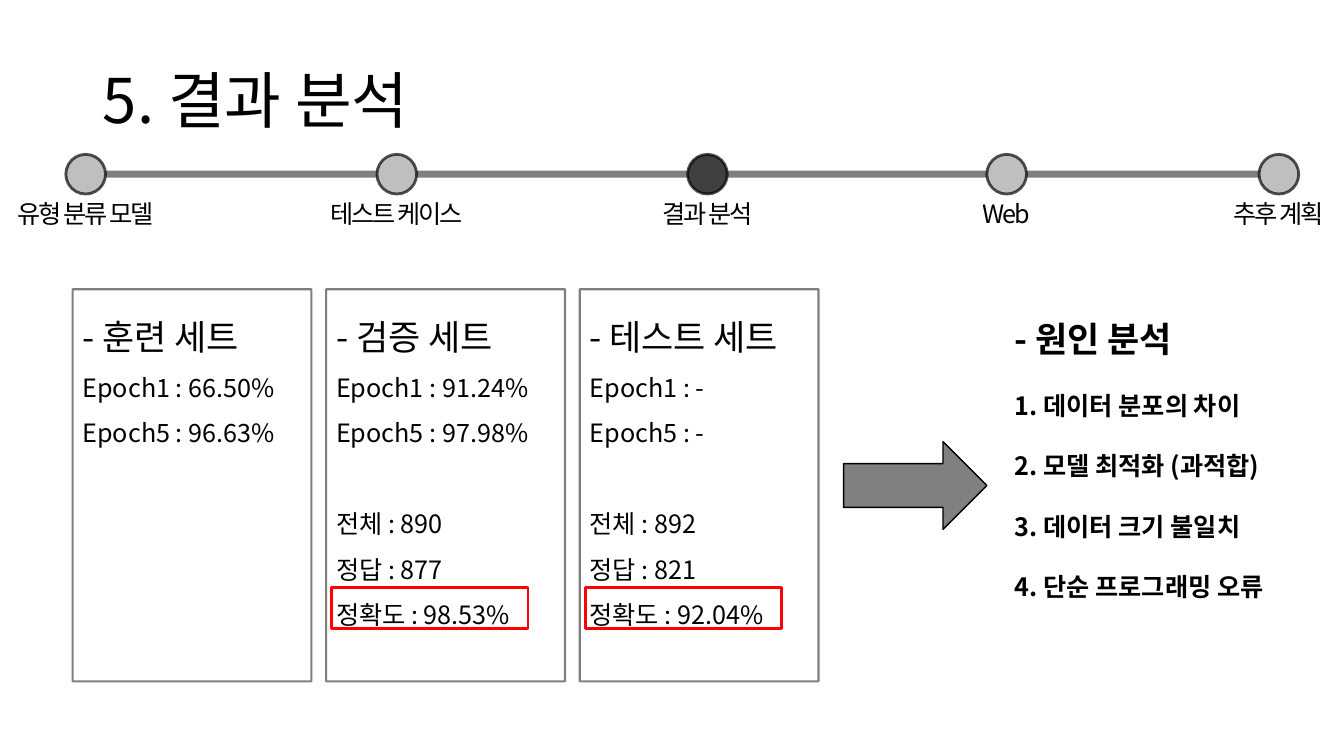
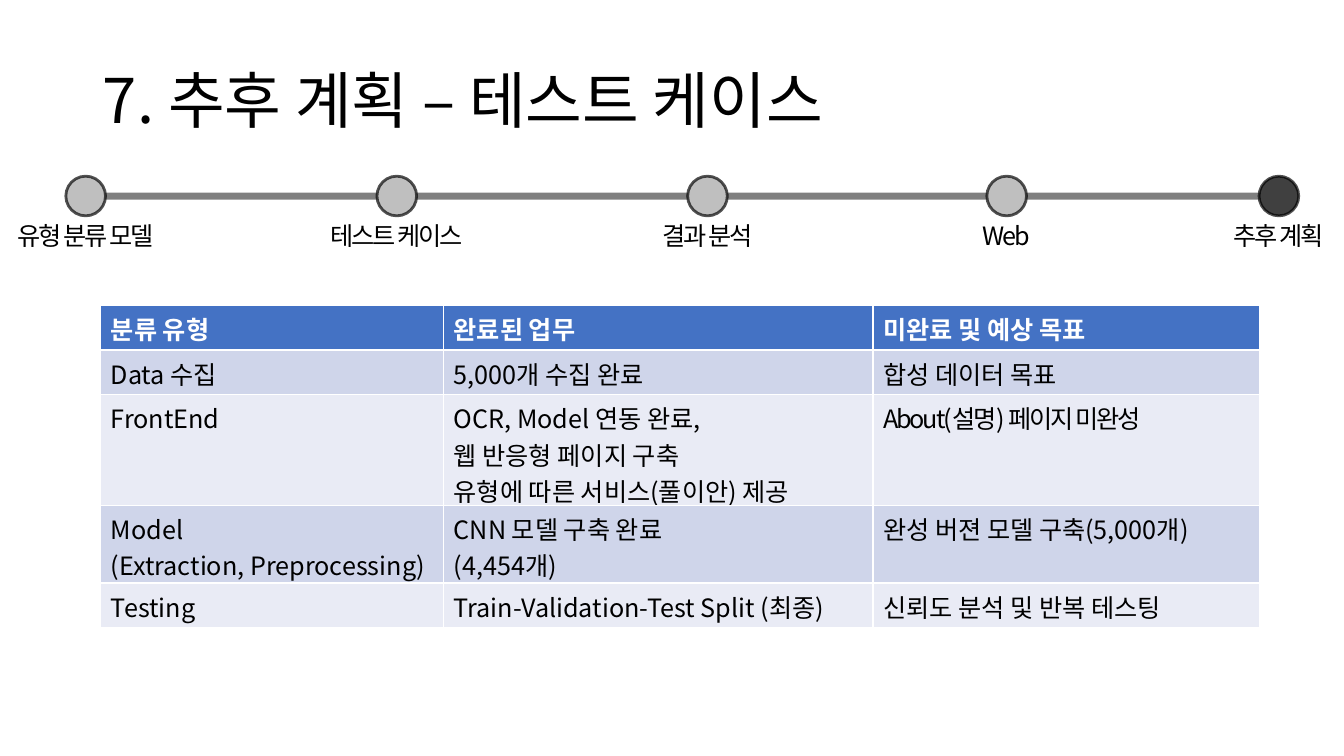
from lxml import etree
from pptx import Presentation
from pptx import util as u
from pptx.dml.color import RGBColor
from pptx.enum import shapes, text
from pptx.oxml.ns import qn

FONT = "Noto Sans CJK KR"
BLACK = RGBColor(0x00, 0x00, 0x00)
WHITE = RGBColor(0xFF, 0xFF, 0xFF)
GRAY = RGBColor(0x80, 0x80, 0x80)
DONE = RGBColor(0xBF, 0xBF, 0xBF)
CURRENT = RGBColor(0x40, 0x40, 0x40)
RED = RGBColor(0xFF, 0x00, 0x00)
HEADER = RGBColor(0x44, 0x72, 0xC4)
BANDS = (RGBColor(0xCF, 0xD5, 0xEA), RGBColor(0xE9, 0xEB, 0xF5))

TITLE = {"size": u.Pt(44), "bold": False}
HEADING = {"size": u.Pt(25), "bold": False}
BODY = {"size": u.Pt(18), "bold": False}
STRONG_HEADING = {**HEADING, "bold": True}
STRONG_BODY = {**BODY, "bold": True}
TIGHT = -150

MILESTONES = [
    ("유형 분류 모델", 2.16),
    ("테스트 케이스", 10),
    ("결과 분석", 17.83),
    ("Web", 25.37),
    ("추후 계획", 32.23),
]

RESULTS = [
    ("- 훈련 세트", ["Epoch1 : 66.50%", "Epoch5 : 96.63%"], []),
    ("- 검증 세트", ["Epoch1 : 91.24%", "Epoch5 : 97.98%"],
     ["전체 : 890", "정답 : 877", "정확도 : 98.53%"]),
    ("- 테스트 세트", ["Epoch1 : -", "Epoch5 : -"],
     ["전체 : 892", "정답 : 821", "정확도 : 92.04%"]),
]

CAUSES = [
    "- 원인 분석",
    "1. 데이터 분포의 차이",
    "2. 모델 최적화 (과적합)",
    "3. 데이터 크기 불일치",
    "4. 단순 프로그래밍 오류",
]

UNFINISHED_PAGE = "About(설명) 페이지 미완성"
PLAN = [
    ("분류 유형", "완료된 업무", "미완료 및 예상 목표"),
    ("Data 수집", "5,000개 수집 완료", "합성 데이터 목표"),
    ("FrontEnd",
     "OCR, Model 연동 완료,\n웹 반응형 페이지 구축\n유형에 따른 서비스(풀이안) 제공",
     UNFINISHED_PAGE),
    ("Model\n(Extraction, Preprocessing)", "CNN 모델 구축 완료\n(4,454개)",
     "완성 버젼 모델 구축(5,000개)"),
    ("Testing", "Train-Validation-Test Split (최종)", "신뢰도 분석 및 반복 테스팅"),
]
PLAN_WIDTHS = (8.64, 10.82, 9.75)
PLAN_HEIGHTS = (1.12, 1.12, 2.79, 1.96, 1.12)


def box(*lengths):
    return [u.Cm(length) for length in lengths]


def write(frame, lines, first, rest=None, color=BLACK, spacing=None,
          align=text.PP_ALIGN.LEFT, tracking=None):
    for index, line in enumerate(lines):
        paragraph = frame.add_paragraph() if index else frame.paragraphs[0]
        paragraph.alignment = align
        paragraph.line_spacing = spacing
        run = paragraph.add_run()
        run.text = line
        style = rest if index and rest else first
        for name, value in {**style, "name": FONT}.items():
            setattr(run.font, name, value)
        run.font.color.rgb = color
        properties = run._r.get_or_add_rPr()
        etree.SubElement(properties, qn("a:ea"), typeface=FONT)
        if tracking:
            properties.set("spc", str(tracking))


def outline(line, color, width, opacity=100):
    line.color.rgb = color
    line.width = u.Pt(width)
    if opacity < 100:
        tint = line._ln.find(".//" + qn("a:srgbClr"))
        etree.SubElement(tint, qn("a:alpha"), val=str(opacity * 1000))


def draw(parent, kind, place, fill, *border):
    shape = parent.add_shape(kind, *box(*place))
    shape.shadow.inherit = False
    if fill is None:
        shape.fill.background()
    else:
        shape.fill.solid()
        shape.fill.fore_color.rgb = fill
    outline(shape.line, *border)
    return shape


def add_titled_slide(deck, heading, width):
    slide = deck.slides.add_slide(deck.slide_layouts[5])
    title = slide.shapes.title
    title.left, title.top, title.width, title.height = box(2.34, 0.76, width, 3.68)
    title.text_frame.auto_size = text.MSO_AUTO_SIZE.NONE
    title.text_frame.vertical_anchor = text.MSO_ANCHOR.MIDDLE
    write(title.text_frame, [heading], TITLE, spacing=0.9)
    return slide


def add_timeline(slide, y, current):
    timeline = slide.shapes.add_group_shape().shapes
    track = timeline.add_connector(
        shapes.MSO_CONNECTOR.STRAIGHT, *box(1.83, y, 32.46, y))
    outline(track.line, BLACK, 5, 50)
    etree.SubElement(track._element.spPr, qn("a:effectLst"))
    for name, center in MILESTONES:
        draw(timeline, shapes.MSO_SHAPE.OVAL, (center - 0.5, y - 0.5, 1, 1),
             CURRENT if name == current else DONE, BLACK, 2, 67)
        label = timeline.add_textbox(*box(center - 2.46, y + 0.49, 4.92, 1.02))
        label.text_frame.word_wrap = True
        write(label.text_frame, [name], BODY, align=text.PP_ALIGN.CENTER,
              tracking=TIGHT)


def add_results(slide):
    highlights = []
    for index, (heading, epochs, scores) in enumerate(RESULTS):
        left = 1.83 + 6.39 * index
        card = draw(slide.shapes, shapes.MSO_SHAPE.RECTANGLE,
                    (left, 7.29, 6.02, 9.88), None, BLACK, 1.5, 50)
        frame = card.text_frame
        frame.vertical_anchor = text.MSO_ANCHOR.TOP
        write(frame, [heading, *epochs, *scores], HEADING, BODY, spacing=1.5)
        if scores:
            frame.paragraphs[1 + len(epochs)].space_before = u.Pt(32.5)
            highlights.append((left + 0.14, 14.81, 4.95, 1.02))
    draw(slide.shapes, shapes.MSO_SHAPE.RIGHT_ARROW,
         (21.26, 11.13, 3.61, 2.21), GRAY, BLACK, 1)
    for place in highlights:
        draw(slide.shapes, shapes.MSO_SHAPE.RECTANGLE, place, None, RED, 2)


def add_causes(slide):
    causes = slide.shapes.add_textbox(*box(25.32, 6.83, 7.77, 8.31))
    causes.text_frame.word_wrap = True
    write(causes.text_frame, CAUSES, STRONG_HEADING, STRONG_BODY, spacing=2)


def add_plan(slide):
    plan = slide.shapes.add_table(
        len(PLAN), len(PLAN_WIDTHS),
        *box(2.54, 7.7, sum(PLAN_WIDTHS), sum(PLAN_HEIGHTS))).table
    for column, width in zip(plan.columns, PLAN_WIDTHS):
        column.width = u.Cm(width)
    for index, (row, height) in enumerate(zip(plan.rows, PLAN_HEIGHTS)):
        row.height = u.Cm(height)
        for cell, content in zip(row.cells, PLAN[index]):
            cell.fill.solid()
            cell.fill.fore_color.rgb = BANDS[(index - 1) % 2] if index else HEADER
            write(cell.text_frame, content.split("\n"),
                  BODY if index else STRONG_BODY,
                  color=BLACK if index else WHITE,
                  tracking=TIGHT if content == UNFINISHED_PAGE else None)


def main():
    deck = Presentation()
    deck.slide_width, deck.slide_height = box(33.87, 19.05)

    analysis = add_titled_slide(deck, "5. 결과 분석", 30.56)
    add_timeline(analysis, 4.39, "결과 분석")
    add_results(analysis)
    add_causes(analysis)

    future = add_titled_slide(deck, "7. 추후 계획 – 테스트 케이스", 29.21)
    add_timeline(future, 4.94, "추후 계획")
    add_plan(future)

    deck.save("out.pptx")


if __name__ == "__main__":
    main()
